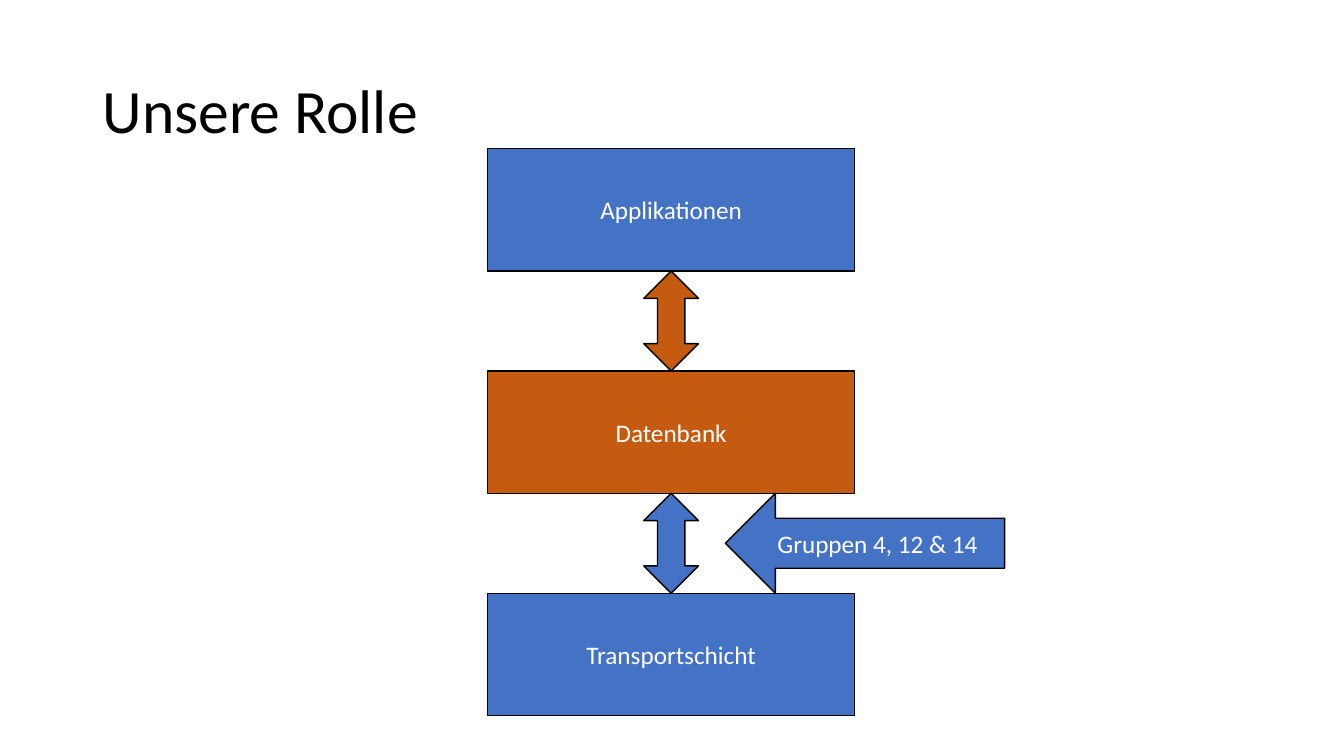
from dataclasses import dataclass

from pptx import Presentation
from pptx.dml.color import RGBColor
from pptx.enum.shapes import MSO_SHAPE as Preset
from pptx.enum.text import MSO_ANCHOR as Anchor, MSO_AUTO_SIZE as AutoSize, PP_ALIGN as Align
from pptx.slide import Slide
from pptx.text.text import TextFrame
from pptx.util import Cm, Pt


@dataclass(frozen=True)
class Theme:
    font: str = "Calibri"
    title_size: int = 44
    label_size: int = 18
    line_width: int = 1
    blue: RGBColor = RGBColor(0x44, 0x72, 0xC4)
    orange: RGBColor = RGBColor(0xC5, 0x5A, 0x11)
    black: RGBColor = RGBColor(0, 0, 0)
    white: RGBColor = RGBColor(255, 255, 255)


@dataclass(frozen=True)
class Block:
    preset: Preset
    left: float
    top: float
    width: float
    height: float
    fill: RGBColor
    label: str = ""


THEME = Theme()

LAYER_LEFT, LAYER_TOP = 12.29, 3.75
LAYER_WIDTH, LAYER_HEIGHT = 9.25, 3.08
GAP = 2.52
PITCH = LAYER_HEIGHT + GAP
LINK_WIDTH = 1.38
LINK_LEFT = LAYER_LEFT + (LAYER_WIDTH - LINK_WIDTH) / 2

LAYERS = [
    ("Applikationen", THEME.blue),
    ("Datenbank", THEME.orange),
    ("Transportschicht", THEME.blue),
]
LINK_FILLS = [THEME.orange, THEME.blue]


def layer_top(index: int) -> float:
    return LAYER_TOP + index * PITCH


def link_top(index: int) -> float:
    return layer_top(index) + LAYER_HEIGHT


def write_text(frame: TextFrame, text: str, size: int, color: RGBColor, align: Align) -> None:
    frame.text = text
    frame.word_wrap = True
    frame.vertical_anchor = Anchor.MIDDLE
    para = frame.paragraphs[0]
    para.alignment = align
    font = para.runs[0].font
    font.name = THEME.font
    font.size = Pt(size)
    font.color.rgb = color


def add_title(page: Slide, text: str) -> None:
    title = page.shapes.title
    title.left, title.top, title.width, title.height = Cm(2.33), Cm(1.01), Cm(29.21), Cm(3.68)
    write_text(title.text_frame, text, THEME.title_size, THEME.black, Align.LEFT)
    title.text_frame.auto_size = AutoSize.NONE
    title.text_frame.paragraphs[0].line_spacing = 0.9


def add_block(page: Slide, block: Block) -> None:
    shape = page.shapes.add_shape(
        block.preset, Cm(block.left), Cm(block.top), Cm(block.width), Cm(block.height)
    )
    shape.shadow.inherit = False
    shape.fill.solid()
    shape.fill.fore_color.rgb = block.fill
    shape.line.color.rgb = THEME.black
    shape.line.width = Pt(THEME.line_width)
    if block.label:
        write_text(shape.text_frame, block.label, THEME.label_size, THEME.white, Align.CENTER)


def main() -> None:
    deck = Presentation()
    deck.slide_width, deck.slide_height = Cm(33.87), Cm(19.05)
    page = deck.slides.add_slide(deck.slide_layouts.get_by_name("Title Only"))
    add_title(page, "Unsere Rolle")

    layers = [
        Block(Preset.RECTANGLE, LAYER_LEFT, layer_top(i), LAYER_WIDTH, LAYER_HEIGHT, fill, label)
        for i, (label, fill) in enumerate(LAYERS)
    ]
    links = [
        Block(Preset.UP_DOWN_ARROW, LINK_LEFT, link_top(i), LINK_WIDTH, GAP, fill)
        for i, fill in enumerate(LINK_FILLS)
    ]
    groups = Block(
        Preset.LEFT_ARROW, 18.28, link_top(1), 7.04, GAP, THEME.blue, "Gruppen 4, 12 & 14"
    )
    for block in [*layers, *links, groups]:
        add_block(page, block)

    deck.save("out.pptx")


if __name__ == "__main__":
    main()
